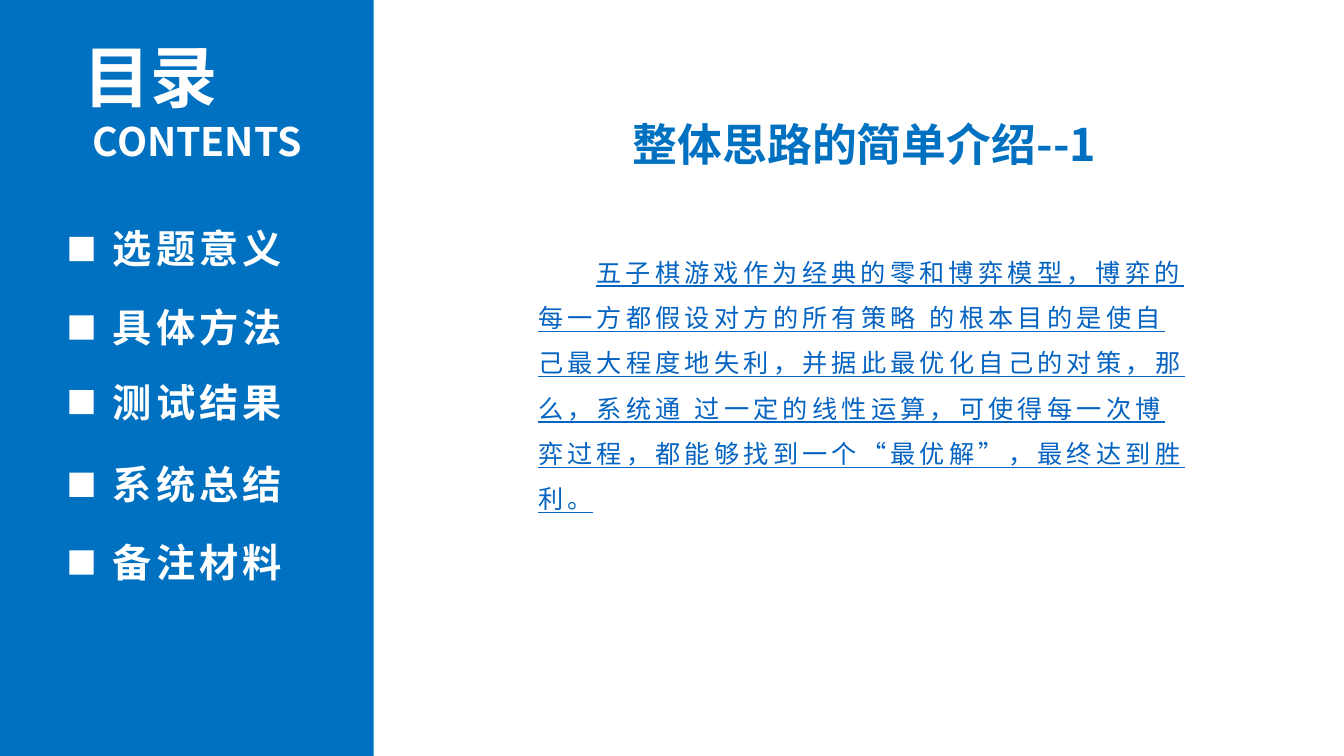
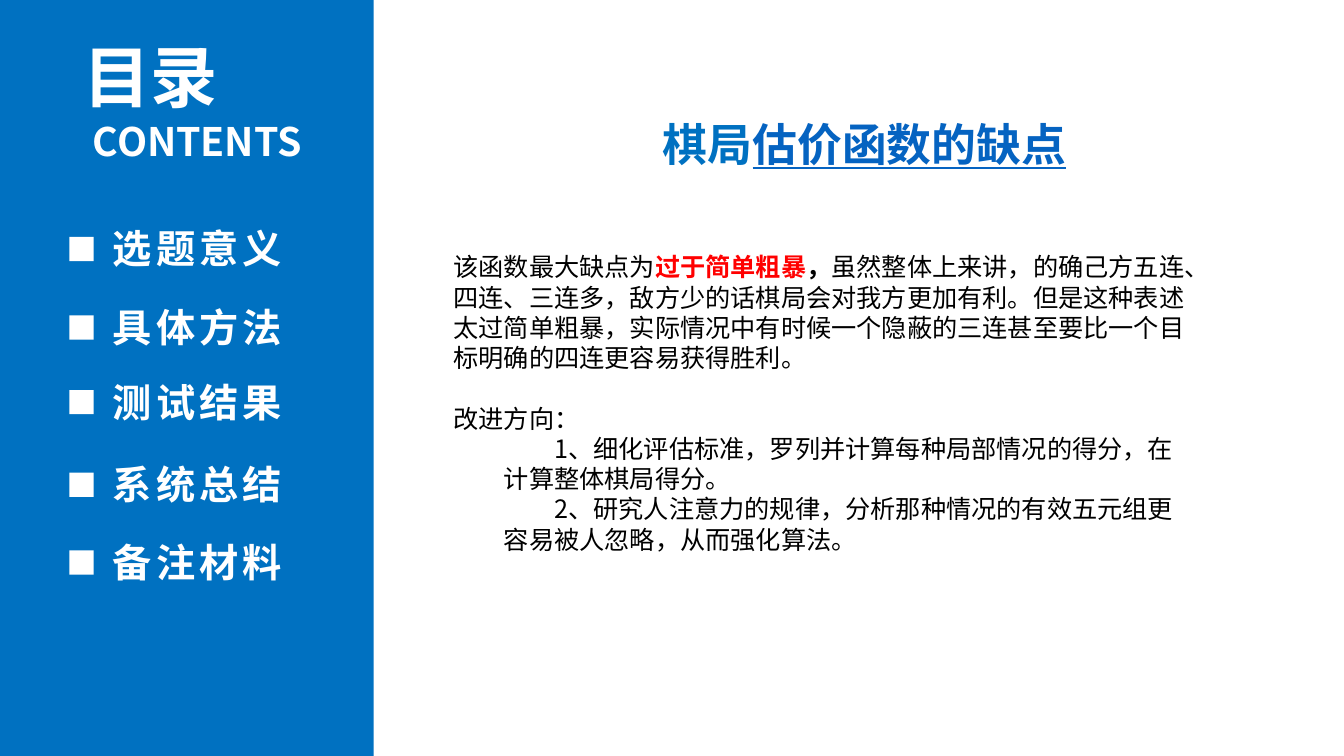
from dataclasses import dataclass

import lxml.etree
import pptx
import pptx.dml.color
import pptx.enum.shapes
import pptx.enum.text
import pptx.oxml.ns
import pptx.util

Cm = pptx.util.Cm
Pt = pptx.util.Pt
Align = pptx.enum.text.PP_ALIGN

FONT = "Noto Sans CJK SC"
COLORS = {
    "blue": "0071C1",
    "link": "0563C1",
    "white": "FFFFFF",
    "black": "000000",
    "red": "FF0000",
}


@dataclass(frozen=True)
class Box:
    """Left, top, width and height in centimetres."""
    left: float
    top: float
    width: float
    height: float

    def lengths(self) -> tuple:
        return Cm(self.left), Cm(self.top), Cm(self.width), Cm(self.height)


@dataclass(frozen=True)
class Run:
    text: str
    size: float = 18
    color: str = "black"
    bold: bool = False
    underline: bool = False
    spacing: float = 0


@dataclass(frozen=True)
class Paragraph:
    """Indents are in centimetres, space before in points."""
    runs: tuple[Run, ...]
    align: Align = Align.LEFT
    left_indent: float = 0
    first_indent: float = 0
    line_spacing: float = 1.0
    space_before: float = 0


@dataclass(frozen=True)
class MenuItem:
    label: str
    top: float


@dataclass(frozen=True)
class Page:
    title: tuple[Run, ...]
    body_box: Box
    body: tuple[Paragraph, ...]


SIDEBAR = Box(0, 0, 9.42, 19.05)
HEADING = Box(1.22, 0.76, 5.16, 2.31)
SUBHEADING = Box(1.75, 2.82, 6.45, 1.45)
TITLE = Box(15.49, 2.82, 12.6, 1.63)

MENU = (
    MenuItem("选题意义", 5.54),
    MenuItem("具体方法", 7.52),
    MenuItem("测试结果", 9.4),
    MenuItem("系统总结", 11.48),
    MenuItem("备注材料", 13.44),
)
MARKER_SIZE = 0.61
MARKER_OFFSET = 0.43


def title_run(text: str, color: str = "blue", underline: bool = False) -> Run:
    return Run(text, 32, color, bold=True, underline=underline)


def improvement(text: str) -> Paragraph:
    return Paragraph((Run(text),), left_indent=1.27, first_indent=1.27)


PAGES = (
    Page(
        title=(title_run("整体思路的简单介绍--1"),),
        body_box=Box(13.31, 5.97, 16.94, 8.33),
        body=(
            Paragraph(
                (Run(
                    "五子棋游戏作为经典的零和博弈模型，博弈的每一方都假设对方的所有策略 "
                    "的根本目的是使自己最大程度地失利，并据此最优化自己的对策，那么，系统通 "
                    "过一定的线性运算，可使得每一次博弈过程，都能够找到一个“最优解”，"
                    "最终达到胜利。",
                    color="link", underline=True, spacing=3),),
                first_indent=1.47, line_spacing=1.5),
        ),
    ),
    Page(
        title=(title_run("棋局"), title_run("估价函数的缺点", "link", underline=True)),
        body_box=Box(11.18, 6.22, 19.02, 7.95),
        body=(
            Paragraph((
                Run("该函数最大缺点为"),
                Run("过于简单粗暴", color="red", bold=True),
                Run("，", bold=True),
                Run("虽然整体上来讲，的确己方五连、四连、三连多，敌方少的话棋局会对我方更加有利。"
                    "但是这种表述太过简单粗暴，实际情况中有时候一个隐蔽的三连甚至要比一个目标明确"
                    "的四连更容易获得胜利。"),
            )),
            Paragraph((Run("改进方向："),), space_before=21.6),
            improvement("1、细化评估标准，罗列并计算每种局部情况的得分，在计算整体棋局得分。"),
            improvement("2、研究人注意力的规律，分析那种情况的有效五元组更容易被人忽略，从而强化算法。"),
        ),
    ),
)


def rgb(color: str) -> pptx.dml.color.RGBColor:
    return pptx.dml.color.RGBColor.from_string(COLORS[color])


def add_run(paragraph, run: Run) -> None:
    piece = paragraph.add_run()
    piece.text = run.text
    font = piece.font
    font.size = Pt(run.size)
    font.bold = run.bold
    font.underline = run.underline
    font.color.rgb = rgb(run.color)
    font.name = FONT
    properties = piece._r.get_or_add_rPr()
    if run.spacing:
        properties.set("spc", str(round(run.spacing * 100)))
    east_asian = lxml.etree.SubElement(properties, pptx.oxml.ns.qn("a:ea"))
    east_asian.set("typeface", FONT)


def add_text(slide, box: Box, paragraphs: tuple[Paragraph, ...]) -> None:
    frame = slide.shapes.add_textbox(*box.lengths()).text_frame
    frame.word_wrap = True
    frame.auto_size = pptx.enum.text.MSO_AUTO_SIZE.SHAPE_TO_FIT_TEXT
    for index, content in enumerate(paragraphs):
        paragraph = frame.add_paragraph() if index else frame.paragraphs[0]
        paragraph.alignment = content.align
        paragraph.line_spacing = content.line_spacing
        paragraph.space_before = Pt(content.space_before)
        properties = paragraph._p.get_or_add_pPr()
        properties.set("marL", str(Cm(content.left_indent)))
        properties.set("indent", str(Cm(content.first_indent)))
        for run in content.runs:
            add_run(paragraph, run)


def add_centered(slide, box: Box, *runs: Run) -> None:
    add_text(slide, box, (Paragraph(runs, Align.CENTER),))


def add_block(slide, box: Box, color: str) -> None:
    block = slide.shapes.add_shape(
        pptx.enum.shapes.MSO_SHAPE.RECTANGLE, *box.lengths())
    block.shadow.inherit = False
    block.fill.solid()
    block.fill.fore_color.rgb = rgb(color)
    block.line.fill.background()


def add_sidebar(slide) -> None:
    add_block(slide, SIDEBAR, "blue")
    add_centered(slide, HEADING, Run("目录", 48, "white", bold=True))
    add_centered(slide, SUBHEADING, Run("CONTENTS", 28, "white", bold=True))
    for item in MENU:
        add_centered(slide, Box(2.46, item.top, 5.03, 1.45),
                     Run(item.label, 28, "white", bold=True, spacing=3))
        add_block(slide, Box(SUBHEADING.left, item.top + MARKER_OFFSET,
                             MARKER_SIZE, MARKER_SIZE), "white")


def main() -> None:
    deck = pptx.Presentation()
    deck.slide_width, deck.slide_height = Cm(33.87), Cm(19.05)
    for page in PAGES:
        slide = deck.slides.add_slide(deck.slide_layouts[6])
        add_centered(slide, TITLE, *page.title)
        add_text(slide, page.body_box, page.body)
        add_sidebar(slide)
    deck.save("out.pptx")


if __name__ == "__main__":
    main()
